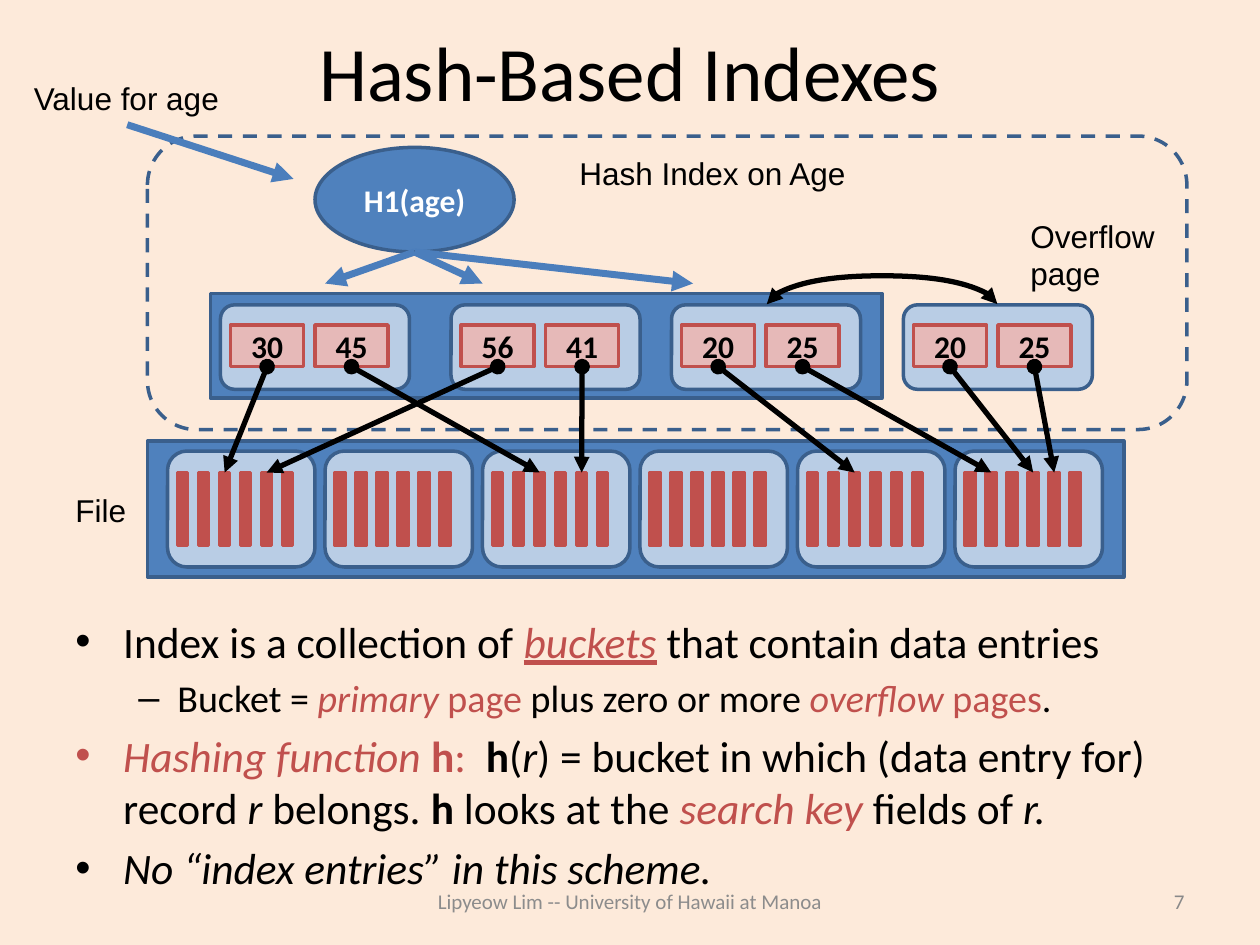
from lxml.etree import SubElement
from pptx import Presentation
from pptx.dml.color import RGBColor
from pptx.enum.dml import MSO_LINE
from pptx.enum.shapes import MSO_CONNECTOR, MSO_SHAPE
from pptx.enum.text import MSO_ANCHOR, MSO_AUTO_SIZE, PP_ALIGN
from pptx.oxml.ns import qn
from pptx.util import Emu, Inches, Pt

BLACK, RED, BLUE, NAVY = "000000", "C0504D", "4F81BD", "3A5F8C"
PALE_BLUE, PINK, ARROW_BLUE = "B9CDE5", "E6B9B8", "4B7EBC"

# Runs carry style letters: r red, i italic, b bold, u underlined
BULLETS = [
    (0, [("Index is a collection of ", ""), ("buckets", "riu"),
         (" that contain data entries", "")]),
    (1, [("Bucket = ", ""), ("primary", "ri"), (" page", "r"),
         (" plus zero or more ", ""), ("overflow", "ri"), (" pages", "r"), (".", "")]),
    (0, [("Hashing function ", "ri"), ("h", "rb"), (":  ", "r"), ("h", "b"), ("(", ""),
         ("r", "i"), (") = bucket in which (data entry for) record ", ""), ("r", "i"),
         (" belongs. ", ""), ("h", "b"), (" looks at the ", ""), ("search key", "ri"),
         (" fields of ", ""), ("r.", "i")]),
    (0, [("No “index entries” in this scheme.", "i")]),
]
# level: (bullet, size, left margin, hanging indent)
BULLET_LEVELS = {0: ("•", 24.8, 0.38, 0.38), 1: ("–", 21.7, 0.81, 0.31)}

LABELS = [
    ("File", 0.5, 3.85, 0.61, 0.4),
    ("Value for age", 0.17, 0.58, 1.68, 0.4),
    ("Hash Index on Age", 4.5, 1.17, 2.33, 0.4),
    ("Overflow\npage", 8.08, 1.67, 1.27, 0.71),
]
# Bucket left edge, then (age, file page, record) for each entry
BUCKETS = [
    (1.75, [("30", 0, 2), ("45", 2, 2)]),
    (3.58, [("56", 0, 4), ("41", 2, 4)]),
    (5.33, [("20", 4, 2), ("25", 5, 1)]),
    (7.17, [("20", 5, 3), ("25", 5, 4)]),
]
HASH_ARROWS = [
    (1.01, 0.99, 2.33, 1.42),
    (3.29, 2, 2.58, 2.25),
    (3.29, 2, 3.83, 2.25),
    (3.29, 2, 5.5, 2.25),
]
FILE_PAGES, PAGE_LEFT, PAGE_PITCH = 6, 1.33, 1.25
RECORDS, RECORD_PITCH = 6, 1 / 6

prs = Presentation()
prs.slide_width, prs.slide_height = Inches(10), Inches(7.5)
slide = prs.slides.add_slide(prs.slide_layouts[6])


def rgb(color):
    return RGBColor.from_string(color)


def set_font(font, size, color=BLACK, name="Calibri", bold=None):
    font.size, font.name, font.bold = Pt(size), name, bold
    font.color.rgb = rgb(color)


def add_text(text, left, top, width, height, size, color=BLACK, name="Calibri",
             align=PP_ALIGN.LEFT, anchor=MSO_ANCHOR.MIDDLE, wrap=True):
    box = slide.shapes.add_textbox(*map(Inches, (left, top, width, height)))
    frame = box.text_frame
    frame.word_wrap, frame.vertical_anchor = wrap, anchor
    frame.text = text
    for paragraph in frame.paragraphs:
        paragraph.alignment = align
        set_font(paragraph.font, size, color, name)
    return frame


def add_box(kind, left, top, width, height, fill, line, text="", color=BLACK, parent=slide):
    box = parent.shapes.add_shape(kind, *map(Inches, (left, top, width, height)))
    box.shadow.inherit = False
    if fill:
        box.fill.solid()
        box.fill.fore_color.rgb = rgb(fill)
    else:
        box.fill.background()
    box.line.color.rgb, box.line.width = rgb(line), Pt(2)
    if text:
        box.text_frame.text = text
        box.text_frame.vertical_anchor = MSO_ANCHOR.MIDDLE
        paragraph = box.text_frame.paragraphs[0]
        paragraph.alignment = PP_ALIGN.CENTER
        set_font(paragraph.font, 18, color, bold=True)
    return box


def add_arrow(ends, color, width, head=None, kind=MSO_CONNECTOR.STRAIGHT):
    arrow = slide.shapes.add_connector(kind, *ends)
    arrow.line.color.rgb, arrow.line.width = rgb(color), Pt(width)
    line = arrow.line._get_or_add_ln()
    if head:
        SubElement(line, qn("a:headEnd"), type=head)
    SubElement(line, qn("a:tailEnd"), type="triangle")
    SubElement(arrow._element.spPr, qn("a:effectLst"))
    return arrow


def add_overflow_link():
    """Curve from the third bucket up and over to the overflow page."""
    depth = Emu(1588)  # near-flat frame, so the bulge is a large multiple of it
    ends = (Inches(7) + depth, Inches(3.33), Inches(7), Inches(1.5))
    link = add_arrow(ends, BLACK, 3, "triangle", MSO_CONNECTOR.CURVE)
    properties = link._element.spPr
    properties.find(qn("a:xfrm")).set("rot", str(90 * 60000))
    adjustments = properties.find(qn("a:prstGeom")).find(qn("a:avLst"))
    bulge = round(Inches(0.25) / depth * 100000)
    SubElement(adjustments, qn("a:gd"), name="adj1", fmla=f"val {bulge}")


def add_bullets():
    frame = add_text("", 0.5, 4.83, 9, 2.08, 24.8, anchor=MSO_ANCHOR.TOP)
    for index, (level, runs) in enumerate(BULLETS):
        paragraph = frame.add_paragraph() if index else frame.paragraphs[0]
        bullet, size, margin, hanging = BULLET_LEVELS[level]
        paragraph.level = level
        if index:
            paragraph.space_before = Pt(size * 0.2)
        properties = paragraph._p.get_or_add_pPr()
        properties.set("marL", str(Inches(margin)))
        properties.set("indent", str(-Inches(hanging)))
        SubElement(properties, qn("a:buFont"), typeface="Arial")
        SubElement(properties, qn("a:buChar"), char=bullet)
        for text, style in runs:
            run = paragraph.add_run()
            run.text = text
            set_font(run.font, size, RED if "r" in style else BLACK, bold="b" in style)
            run.font.italic, run.font.underline = "i" in style, "u" in style


slide.background.fill.solid()
slide.background.fill.fore_color.rgb = rgb("FDEADA")

add_text("Hash-Based Indexes", 0.5, 0.17, 9, 0.78, 44, align=PP_ALIGN.CENTER)
add_bullets()
add_text("Lipyeow Lim -- University of Hawaii at Manoa", 3, 6.95, 4, 0.4, 12, "8C8C8C",
         align=PP_ALIGN.CENTER)
add_text("7", 7.17, 6.95, 2.33, 0.4, 12, "898989", align=PP_ALIGN.RIGHT)

add_box(MSO_SHAPE.OVAL, 2.5, 1.17, 1.58, 0.83, BLUE, NAVY, "H1(age)", "FFFFFF")
add_box(MSO_SHAPE.RECTANGLE, 1.67, 2.33, 5.33, 0.83, BLUE, NAVY)
add_box(MSO_SHAPE.RECTANGLE, 1.17, 3.5, 7.75, 1.08, BLUE, NAVY)

records = {}
for page in range(FILE_PAGES):
    left = PAGE_LEFT + page * PAGE_PITCH
    group = slide.shapes.add_group_shape()
    add_box(MSO_SHAPE.ROUNDED_RECTANGLE, left, 3.58, 1.17, 0.92, PALE_BLUE, NAVY,
            parent=group)
    for record in range(RECORDS):
        records[page, record] = add_box(
            MSO_SHAPE.RECTANGLE, left + 0.08 + record * RECORD_PITCH, 3.75, 0.08, 0.58,
            RED, RED, parent=group)

index_outline = add_box(MSO_SHAPE.ROUNDED_RECTANGLE, 1.17, 1.08, 8.25, 2.33, None, NAVY)
index_outline.line.dash_style = MSO_LINE.DASH

pointers = []
for bucket_left, entries in BUCKETS:
    add_box(MSO_SHAPE.ROUNDED_RECTANGLE, bucket_left, 2.42, 1.5, 0.67, PALE_BLUE, NAVY)
    for position, (age, page, record) in enumerate(entries):
        entry = add_box(MSO_SHAPE.RECTANGLE, bucket_left + 0.08 + position * 0.67, 2.58,
                        0.58, 0.33, PINK, RED, age)
        pointers.append((entry, records[page, record]))

for ends in HASH_ARROWS:
    add_arrow(map(Inches, ends), ARROW_BLUE, 4)
add_overflow_link()
for text, *place in LABELS:
    label = add_text(text, *place, 18, name="Arial", anchor=MSO_ANCHOR.TOP, wrap=False)
    label.auto_size = MSO_AUTO_SIZE.SHAPE_TO_FIT_TEXT
for entry, record in pointers:
    pointer = add_arrow((0, 0, 0, 0), BLACK, 3, "oval")
    pointer.begin_connect(entry, 2)
    pointer.end_connect(record, 0)

prs.save("out.pptx")
